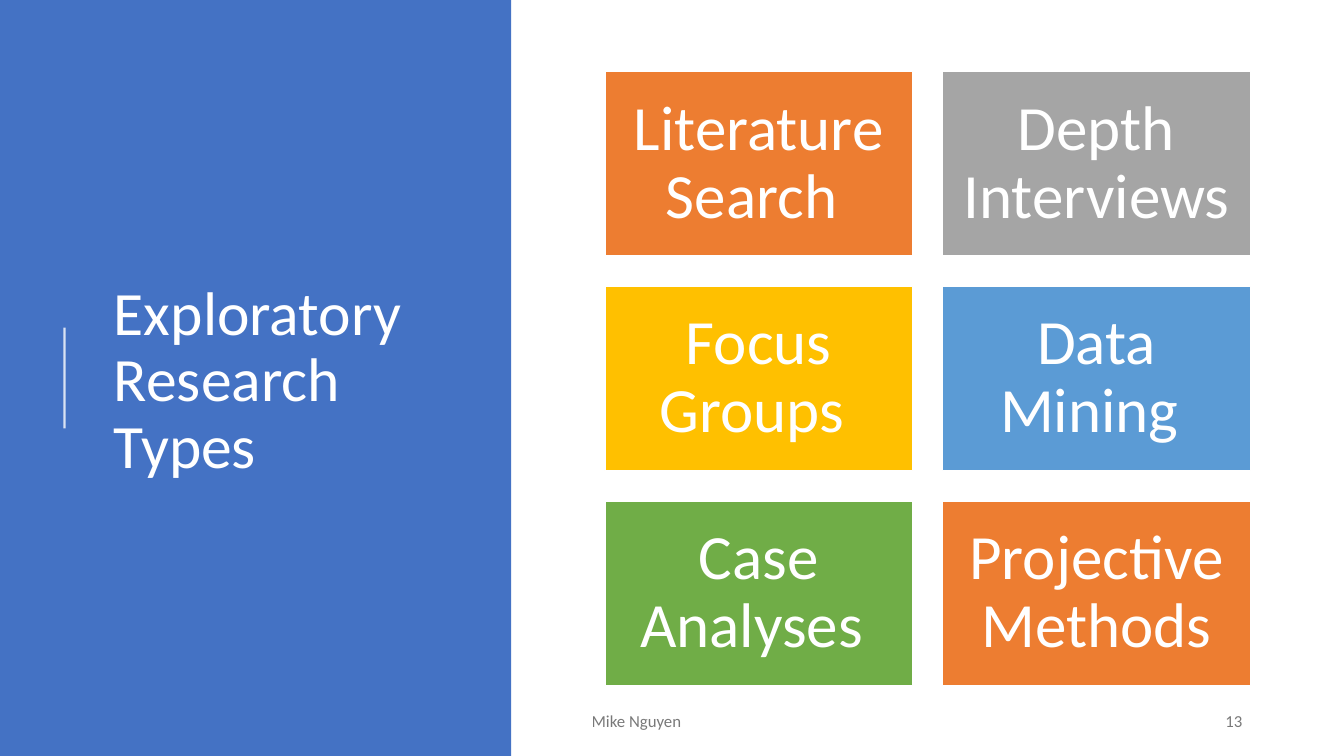
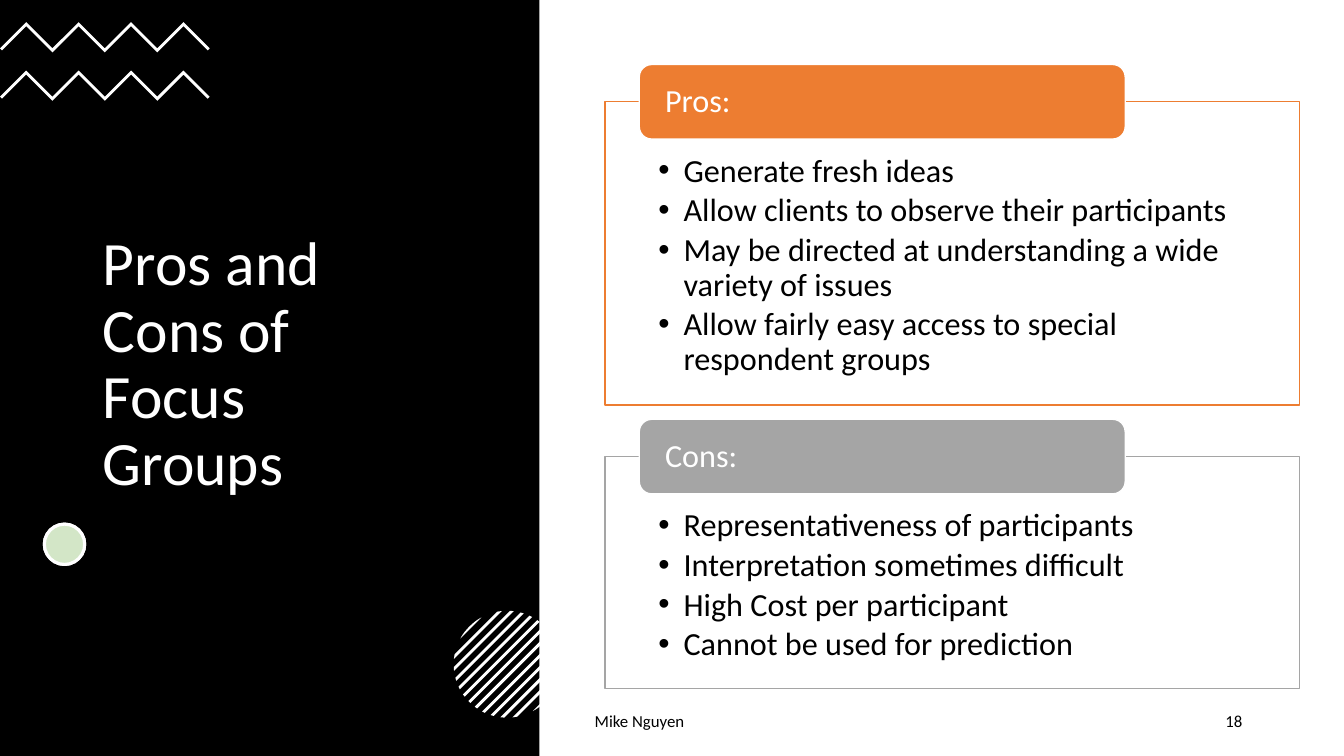
import math

from lxml import etree
from pptx import Presentation
from pptx.dml.color import RGBColor
from pptx.enum import shapes, text
from pptx.oxml import ns
from pptx.util import Inches, Pt

COLORS = {
    "blue": "4472C4", "orange": "ED7D31", "gray": "A5A5A5", "gold": "FFC000",
    "sky": "5B9BD5", "green": "70AD47", "white": "FFFFFF", "black": "000000",
    "dark": "404040",
}
FONT = "Calibri"
TITLE_ONLY, TWO_CONTENT = 5, 3
PRESET = shapes.MSO_SHAPE
ALIGN = text.PP_ALIGN
ANCHOR = text.MSO_ANCHOR


def color(name):
    return RGBColor.from_string(COLORS[name])


def set_opacity(element, percent):
    """Make the first colour set in the element partly transparent."""
    first_color = next(element.iter(ns.qn("a:srgbClr")))
    etree.SubElement(first_color, ns.qn("a:alpha"), val=str(percent * 1000))


def add_bullet(paragraph, indent=0.25):
    properties = paragraph._p.get_or_add_pPr()
    properties.set("marL", str(Inches(indent)))
    properties.set("indent", str(-Inches(indent)))
    etree.SubElement(properties, ns.qn("a:buFont"), typeface="Arial")
    etree.SubElement(properties, ns.qn("a:buChar"), char="•")


def write(frame, *lines, size, ink="white", align=ALIGN.LEFT, anchor=ANCHOR.MIDDLE,
          insets=(0.1, 0.05, 0.1, 0.05), spacing=0.9, after=0, bullets=False):
    """Fill a text frame, one paragraph a line."""
    frame.word_wrap = True
    frame.auto_size = text.MSO_AUTO_SIZE.NONE
    frame.vertical_anchor = anchor
    (frame.margin_left, frame.margin_top,
     frame.margin_right, frame.margin_bottom) = map(Inches, insets)
    for index, line in enumerate(lines):
        paragraph = frame.add_paragraph() if index else frame.paragraphs[0]
        paragraph.alignment = align
        paragraph.line_spacing = spacing
        paragraph.space_before = Pt(0)
        paragraph.space_after = Pt(after)
        if bullets:
            add_bullet(paragraph)
        run = paragraph.add_run()
        run.text = line
        run.font.size = Pt(size)
        run.font.name = FONT
        run.font.color.rgb = color(ink)


class Deck:
    def __init__(self):
        self.presentation = Presentation()
        self.presentation.slide_width = Inches(13.33)
        self.presentation.slide_height = Inches(7.5)
        self.slide = None

    def start(self, title, box, layout, band_color, band_width):
        """Begin a slide with a coloured left band and its title."""
        self.slide = self.presentation.slides.add_slide(
            self.presentation.slide_layouts[layout])
        band = self.shape(PRESET.RECTANGLE, (0, 0, band_width, 7.5), band_color)
        self.slide.shapes._spTree.insert(2, band.element)
        heading = self.place(self.slide.shapes.title, box)
        write(heading.text_frame, title, size=44)

    def place(self, item, box):
        item.left, item.top, item.width, item.height = map(Inches, box)
        return item

    def paint(self, item, fill, line=None, line_width=1):
        item.shadow.inherit = False
        item.fill.solid()
        item.fill.fore_color.rgb = color(fill)
        if line:
            item.line.color.rgb = color(line)
            item.line.width = Pt(line_width)
        else:
            item.line.fill.background()
        return item

    def shape(self, preset, box, fill, line=None, line_width=1):
        item = self.slide.shapes.add_shape(preset, *map(Inches, box))
        return self.paint(item, fill, line, line_width)

    def outline(self, points, fill):
        corners = [(Inches(x), Inches(y)) for x, y in points]
        builder = self.slide.shapes.build_freeform(*corners[0], scale=1.0)
        builder.add_line_segments(corners[1:], close=True)
        return self.paint(builder.convert_to_shape(), fill)

    def rule(self, start, end, ink, width, opacity):
        line = self.slide.shapes.add_connector(
            shapes.MSO_CONNECTOR.STRAIGHT, *map(Inches, start + end))
        line.line.color.rgb = color(ink)
        line.line.width = Pt(width)
        set_opacity(line.element, opacity)
        etree.SubElement(line.element.spPr, ns.qn("a:effectLst"))

    def footer(self, number, left, width, ink, opacity=100):
        parts = (("Mike Nguyen", left, width, ALIGN.LEFT),
                 (number, 9.42, 3, ALIGN.RIGHT))
        for words, x, w, align in parts:
            box = self.slide.shapes.add_textbox(*map(Inches, (x, 6.95, w, 0.4)))
            write(box.text_frame, words, size=12, ink=ink, align=align,
                  spacing=1.0, after=6)
            if opacity < 100:
                set_opacity(box.element, opacity)

    def card(self, words, box, fill):
        item = self.shape(PRESET.RECTANGLE, box, fill, "white")
        write(item.text_frame, words, size=45, align=ALIGN.CENTER, insets=(0.19,) * 4)

    def panel(self, placeholder, heading, points, top, height, accent):
        """Draw a framed list with a rounded heading over its top edge."""
        body = self.place(self.slide.placeholders[placeholder], (6, top, 6.89, height))
        self.paint(body, "white", accent)
        write(body.text_frame, *points, size=23, ink="black", anchor=ANCHOR.TOP,
              insets=(0.53, 0.52, 0.53, 0.18), after=3.45, bullets=True)
        tab = self.shape(PRESET.ROUNDED_RECTANGLE, (6.34, top - 0.37, 4.82, 0.74),
                         accent, "white")
        write(tab.text_frame, heading, size=23, insets=(0.22, 0, 0.22, 0))

    def zigzag(self, top, step=0.26, rise=0.26, thickness=0.04):
        upper = [(i * step, top + (0 if i % 2 else rise)) for i in range(9)]
        lower = [(x, y + thickness) for x, y in upper[1:-1]]
        half = thickness / 2
        right, left = upper[-1], upper[0]
        lower = [(left[0] + half, left[1] + half), *lower,
                 (right[0] - half, right[1] + half)]
        self.outline(upper + lower[::-1], "white")

    def striped_disc(self, x, y, radius, pitch=0.12, thickness=0.04, count=5):
        """Draw diagonal stripes clipped to a circle, with a cap at either end."""
        def chord_end(offset, side):
            along = math.sqrt(max(0, (radius ** 2 - offset ** 2 / 2) / 2))
            return x + offset / 2 + side * along, y + offset / 2 - side * along

        edge = radius * math.sqrt(2)
        cap = (count + 1) * pitch
        bands = [(i * pitch - thickness / 2, i * pitch + thickness / 2)
                 for i in range(-count, count + 1)]
        for start, end in [(-edge, -cap), *bands, (cap, edge)]:
            offsets = [start + (end - start) * i / 6 for i in range(7)]
            self.outline([chord_end(s, 1) for s in offsets]
                         + [chord_end(s, -1) for s in reversed(offsets)], "white")


def research_types(deck):
    deck.start("Exploratory Research Types", (1.03, 0.78, 3.69, 6.02),
               TITLE_ONLY, "blue", 5.07)
    deck.rule((0.64, 4.25), (0.64, 3.25), "white", 1.5, 80)
    deck.footer("13", 5.77, 3.14, "dark", 70)
    cards = (("Literature Search ", "orange"), ("Depth Interviews", "gray"),
             ("Focus Groups ", "gold"), ("Data Mining ", "sky"),
             ("Case Analyses ", "green"), ("Projective Methods", "orange"))
    for index, (words, fill) in enumerate(cards):
        row, column = divmod(index, 2)
        deck.card(words, (6 + column * 3.35, 0.71 + row * 2.13, 3.05, 1.83), fill)


def focus_groups(deck):
    deck.start("Pros and Cons of Focus Groups", (0.92, 1.31, 3.45, 4.63),
               TWO_CONTENT, "black", 5.35)
    for top in (0.22, 0.7):
        deck.zigzag(top)
    dot = (0.44, 5.2, 0.4, 0.4)
    deck.shape(PRESET.OVAL, dot, "white", "white", 2.25)
    tint = deck.shape(PRESET.OVAL, dot, "green", "white", 2.25)
    set_opacity(tint.element, 30)
    deck.striped_disc(5.03, 6.59, 0.53)
    deck.footer("18", 5.8, 4.81, "black")
    deck.panel(1, "Pros:", (
        "Generate fresh ideas",
        "Allow clients to observe their participants",
        "May be directed at understanding a wide variety of issues",
        "Allow fairly easy access to special respondent groups",
    ), 1.01, 3.01, "orange")
    deck.panel(2, "Cons:", (
        "Representativeness of participants",
        "Interpretation sometimes difficult",
        "High Cost per participant",
        "Cannot be used for prediction",
    ), 4.53, 2.3, "gray")


def main():
    deck = Deck()
    research_types(deck)
    focus_groups(deck)
    deck.presentation.save("out.pptx")


if __name__ == "__main__":
    main()
